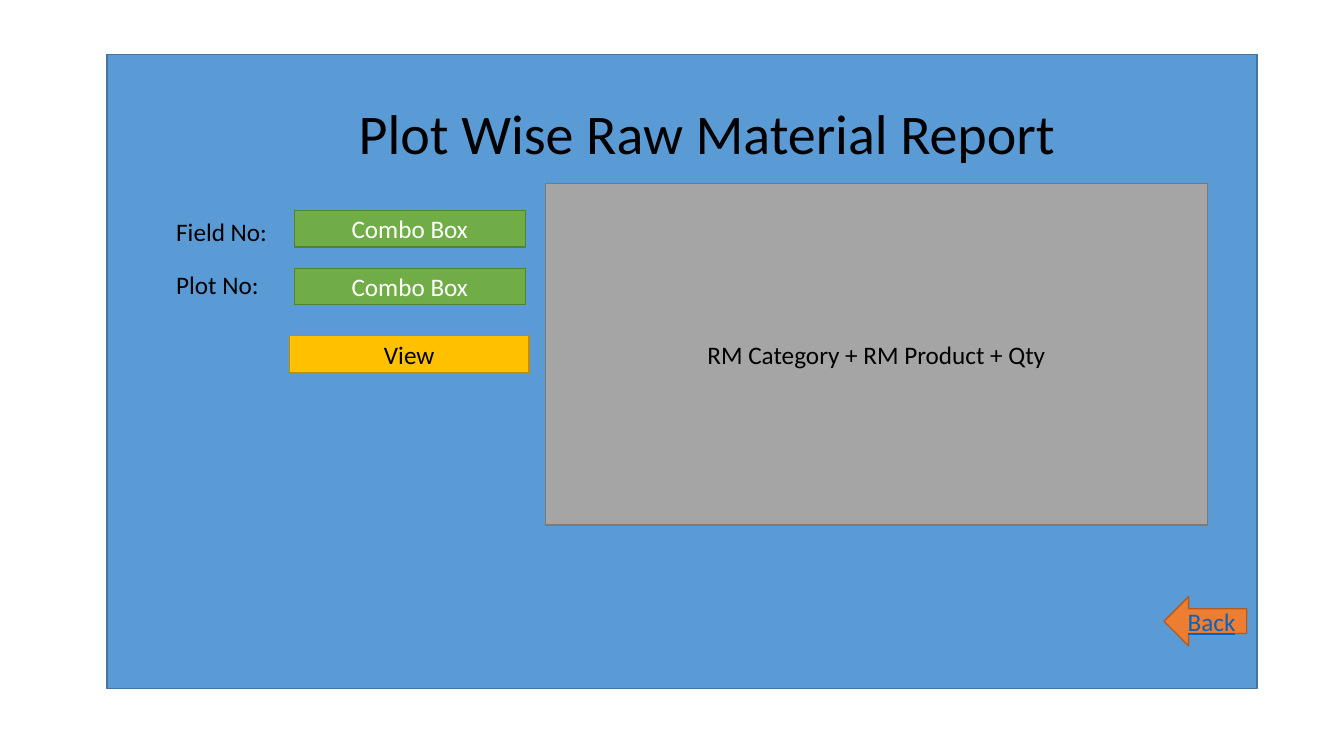
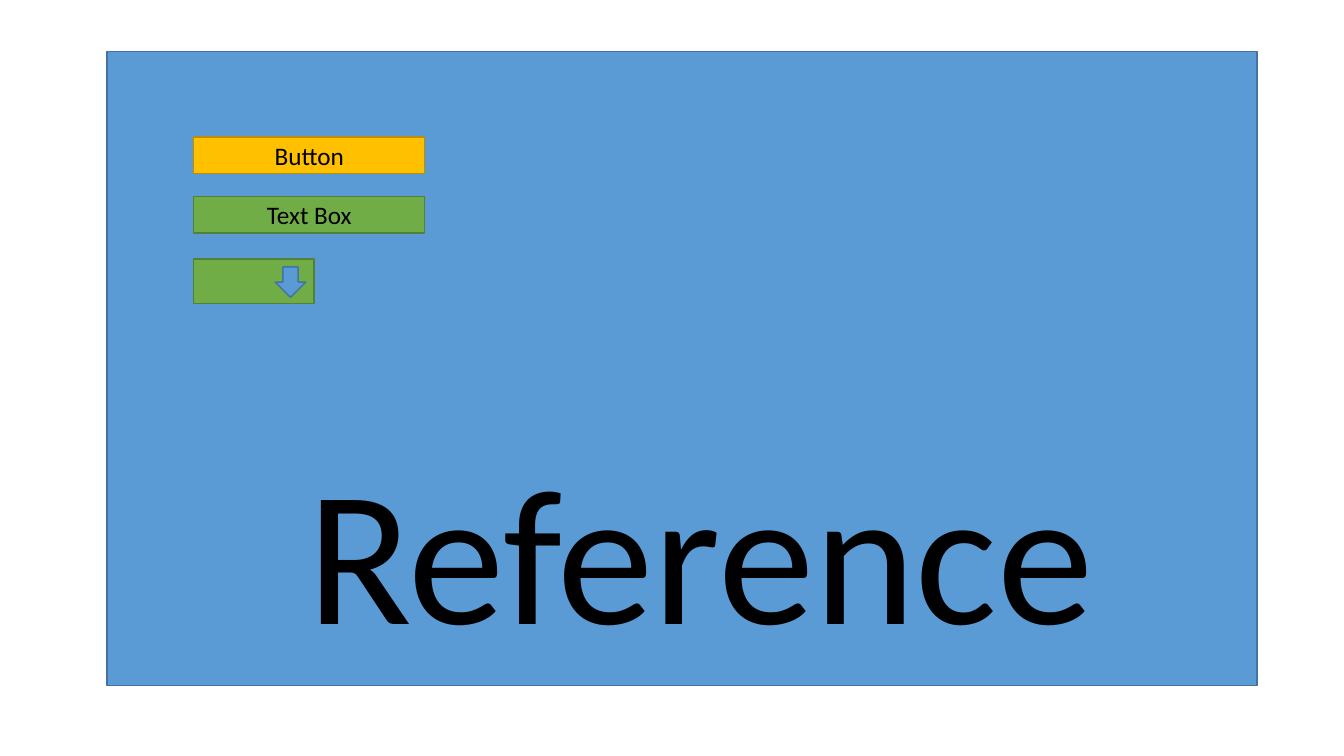
from dataclasses import dataclass

from pptx import Presentation
from pptx.dml import color
from pptx.enum import shapes, text
from pptx.shapes.autoshape import Shape
from pptx.shapes.shapetree import GroupShapes, SlideShapes
from pptx.slide import Slide
from pptx.text.text import TextFrame
from pptx.util import Pt

FONT = "Calibri"
BODY_SIZE = 18
BLACK, WHITE, LINK_BLUE = "000000", "FFFFFF", "0563C1"
KIND = shapes.MSO_SHAPE


@dataclass(frozen=True)
class Frame:
    left: float
    top: float
    width: float
    height: float

    def lengths(self) -> tuple[Pt, Pt, Pt, Pt]:
        return Pt(self.left), Pt(self.top), Pt(self.width), Pt(self.height)


@dataclass(frozen=True)
class Look:
    fill: str
    line: str
    ink: str = BLACK
    kind: KIND = KIND.RECTANGLE
    underline: bool = False


@dataclass(frozen=True)
class Control:
    frame: Frame
    look: Look
    caption: str = ""


PANEL = Look("5B9BD5", "43739E")
BUTTON = Look("FFC000", "BD8E00")
TEXT_FIELD = Look("70AD47", "538035")
COMBO = Look("70AD47", "538035", WHITE)
REPORT = Look("A5A5A5", "7A7A7A")
BACK = Look("ED7D31", "AF5C24", LINK_BLUE, KIND.LEFT_ARROW, True)
DROP_ARROW = Look("5B9BD5", "43739E", kind=KIND.DOWN_ARROW)


def rgb(value: str) -> color.RGBColor:
    return color.RGBColor.from_string(value)


def write(frame: TextFrame, words: str, size: float, ink: str = BLACK,
          align: text.PP_ALIGN = text.PP_ALIGN.LEFT,
          anchor: text.MSO_ANCHOR = text.MSO_ANCHOR.TOP,
          underline: bool = False) -> None:
    frame.word_wrap = True
    frame.auto_size = text.MSO_AUTO_SIZE.NONE
    frame.vertical_anchor = anchor
    paragraph = frame.paragraphs[0]
    paragraph.alignment = align
    run = paragraph.add_run()
    run.text = words
    run.font.name = FONT
    run.font.size = Pt(size)
    run.font.color.rgb = rgb(ink)
    if underline:
        run.font.underline = True


def draw_control(tree: SlideShapes | GroupShapes, control: Control) -> Shape:
    look = control.look
    drawn = tree.add_shape(look.kind, *control.frame.lengths())
    drawn.shadow.inherit = False
    drawn.fill.solid()
    drawn.fill.fore_color.rgb = rgb(look.fill)
    drawn.line.color.rgb = rgb(look.line)
    drawn.line.width = Pt(1)
    if control.caption:
        write(drawn.text_frame, control.caption, BODY_SIZE, look.ink,
              text.PP_ALIGN.CENTER, text.MSO_ANCHOR.MIDDLE, look.underline)
    return drawn


def draw_label(slide: Slide, frame: Frame, words: str) -> None:
    label = slide.shapes.add_textbox(*frame.lengths())
    write(label.text_frame, words, BODY_SIZE)


def start_screen(deck: Presentation, panel_top: float, heading: str,
                 frame: Frame, size: float) -> Slide:
    slide = deck.slides.add_slide(deck.slide_layouts[5])
    title = slide.shapes.title
    title.left, title.top, title.width, title.height = frame.lengths()
    write(title.text_frame, heading, size)
    panel = draw_control(slide.shapes, Control(Frame(76.4, panel_top, 821.5, 453), PANEL))
    title._element.addprevious(panel._element)
    return slide


def build_report(deck: Presentation) -> None:
    slide = start_screen(deck, 38.9, "Plot Wise Raw Material Report",
                         Frame(249, 67, 528.5, 55.4), 40)
    for row, words in enumerate(("Field No:", "Plot No:")):
        draw_label(slide, Frame(118.8, 151.2 + 37.6 * row, 136.8, 29), words)
        draw_control(slide.shapes,
                     Control(Frame(210.2, 150.4 + 41.2 * row, 165, 26), COMBO, "Combo Box"))
    for control in (
        Control(Frame(206.6, 239.8, 171.4, 26.6), BUTTON, "View"),
        Control(Frame(389.6, 131, 473, 244), REPORT, "RM Category + RM Product + Qty"),
        Control(Frame(831.4, 426, 59.2, 35.4), BACK, "Back"),
    ):
        draw_control(slide.shapes, control)


def build_reference(deck: Presentation) -> None:
    slide = start_screen(deck, 36.6, "Reference", Frame(212.4, 304.6, 584.6, 174.4), 138)
    for row, (words, look) in enumerate((("Button", BUTTON), ("Text Box", TEXT_FIELD))):
        draw_control(slide.shapes,
                     Control(Frame(138.4, 98 + 42.4 * row, 165, 26), look, words))
    drop_down = slide.shapes.add_group_shape()
    draw_control(drop_down.shapes, Control(Frame(138.4, 185, 85.8, 31.8), TEXT_FIELD))
    draw_control(drop_down.shapes, Control(Frame(196.6, 190.6, 21.8, 21.8), DROP_ARROW))


def main() -> None:
    deck = Presentation()
    deck.slide_width, deck.slide_height = Pt(960), Pt(540)
    build_report(deck)
    build_reference(deck)
    deck.save("out.pptx")


if __name__ == "__main__":
    main()
